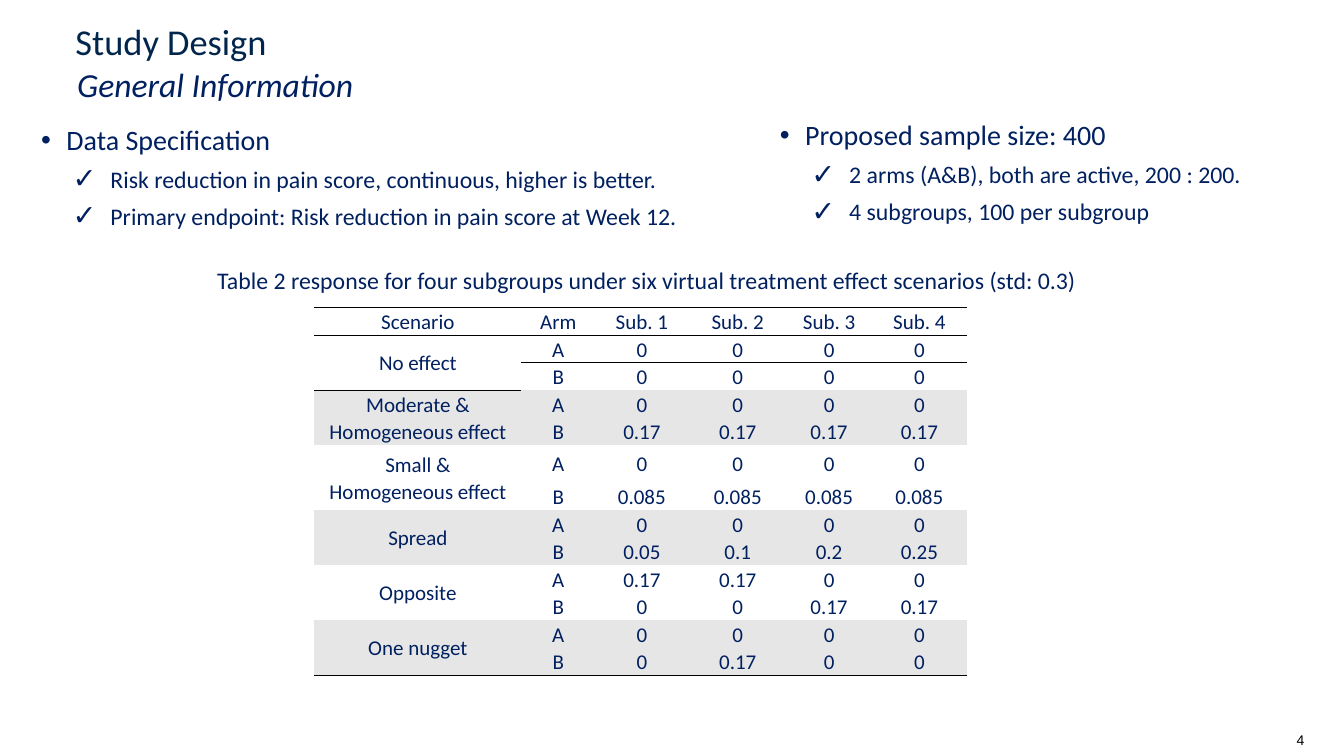
from lxml import etree
from pptx import Presentation
from pptx.dml.color import RGBColor
from pptx.enum.text import MSO_ANCHOR, PP_ALIGN
from pptx.oxml.ns import qn
from pptx.util import Pt

LEFT, CENTER = PP_ALIGN.LEFT, PP_ALIGN.CENTER
TOP, MIDDLE, BOTTOM = MSO_ANCHOR.TOP, MSO_ANCHOR.MIDDLE, MSO_ANCHOR.BOTTOM
NAVY, INK, BLACK, GRAY = "002060", "00264C", "000000", "E7E6E6"
PLAIN = "{2D5ABB26-0587-4C30-8999-92F81FD0307C}"


def paint(code):
    return RGBColor.from_string(code)


def put(frame, text, size=17, color=NAVY, font="Calibri", italic=False,
        align=LEFT, gap=0, line=1.0):
    para = frame.paragraphs[0]
    if para.runs:
        para = frame.add_paragraph()
    para.alignment = align
    para.line_spacing = line
    para.space_before = para.space_after = Pt(gap)
    run = para.add_run()
    run.text = text
    run.font.size, run.font.name, run.font.italic = Pt(size), font, italic
    run.font.color.rgb = paint(color)
    return para


deck = Presentation()
deck.slide_width, deck.slide_height = Pt(960), Pt(540)
slide = deck.slides.add_slide(deck.slide_layouts[6])

# Headings, caption and page number
labels = [
    ("Study Design", (46.8, 15, 415, 29), MIDDLE, dict(size=26, color=INK)),
    ("General Information", (48, 45.4, 442, 29), MIDDLE,
     dict(size=24, italic=True)),
    ("Table 2 response for four subgroups under six virtual treatment effect "
     "scenarios (std: 0.3)", (112, 186, 700, 28), TOP,
     dict(align=CENTER, gap=3)),
    ("4", (902, 519, 54, 19.4), BOTTOM,
     dict(size=10, color=BLACK, font="Arial", align=CENTER)),
]
for text, place, anchor, style in labels:
    frame = slide.shapes.add_textbox(*map(Pt, place)).text_frame
    frame.word_wrap, frame.vertical_anchor = True, anchor
    put(frame, text, **style)

# Bullet lists: a head line with ticked points
lists = [
    (22.3, 495, TOP, [
        "Data Specification",
        "Risk reduction in pain score, continuous, higher is better.",
        "Primary endpoint: Risk reduction in pain score at Week 12."]),
    (550, 351, MIDDLE, [
        "Proposed sample size: 400",
        "2 arms (A&B), both are active, 200 : 200.",
        "4 subgroups, 100 per subgroup"]),
]
for left, width, anchor, lines in lists:
    box = slide.shapes.add_textbox(Pt(left), Pt(84.2), Pt(width), Pt(77))
    frame = box.text_frame
    frame.word_wrap, frame.vertical_anchor = True, anchor
    for i, text in enumerate(lines):
        size, mark, scale, margin, hang, level = (
            (17, "✓", 120, 49.5, 27, 1) if i else (20, "•", 100, 18, 18, 0))
        para = put(frame, text, size=size, gap=3)
        para.level = level
        props = para._p.get_or_add_pPr()
        props.set("marL", str(Pt(margin)))
        props.set("indent", str(-Pt(hang)))
        tint = etree.SubElement(props, qn("a:buClr"))
        etree.SubElement(tint, qn("a:srgbClr"), val=NAVY)
        etree.SubElement(props, qn("a:buSzPct"), val=str(scale * 1000))
        etree.SubElement(props, qn("a:buFont"), typeface="Arial")
        etree.SubElement(props, qn("a:buChar"), char=mark)

# Table data: each scenario has one row per arm
heads = ["Scenario", "Arm", "Sub. 1", "Sub. 2", "Sub. 3", "Sub. 4"]
cases = [
    ("No effect", "0 0 0 0", "0 0 0 0"),
    ("Moderate & Homogeneous effect", "0 0 0 0", "0.17 0.17 0.17 0.17"),
    ("Small & Homogeneous effect", "0 0 0 0", "0.085 0.085 0.085 0.085"),
    ("Spread", "0 0 0 0", "0.05 0.1 0.2 0.25"),
    ("Opposite", "0.17 0.17 0 0", "0 0 0.17 0.17"),
    ("One nugget", "0 0 0 0", "0 0.17 0 0"),
]
rows = [heads]
for name, first, second in cases:
    rows.append([name, "A", *first.split()])
    rows.append(["", "B", *second.split()])
last = len(rows) - 1
widths = [148, 52.5, 67, 70, 60.5, 68.5]
highs = [20] + [19.7] * last
highs[5:7] = [26, 20.3]

# Table grid
table = slide.shapes.add_table(
    len(rows), len(heads), Pt(224.5), Pt(219.5),
    Pt(sum(widths)), Pt(sum(highs))).table
table.first_row = table.horz_banding = False
table._tbl.tblPr.find(qn("a:tableStyleId")).text = PLAIN
for column, width in zip(table.columns, widths):
    column.width = Pt(width)
for row, high in zip(table.rows, highs):
    row.height = Pt(high)
for r in range(1, last, 2):
    table.cell(r, 0).merge(table.cell(r + 1, 0))

# Table cells: rules around the head and at the foot, every second case shaded
for r, row in enumerate(rows):
    for c, text in enumerate(row):
        cell = table.cell(r, c)
        cell.margin_left = cell.margin_right = Pt(5)
        cell.margin_top = cell.margin_bottom = 0
        cell.vertical_anchor = MIDDLE
        put(cell.text_frame, text, size=15, align=CENTER, line=1.07)
        foot = r == last or (c == 0 and r == last - 1)
        for tag, shown in (("a:lnT", r < 2), ("a:lnB", r == 0 or foot)):
            if shown:
                edge = etree.SubElement(cell._tc.get_or_add_tcPr(), qn(tag),
                                        w=str(Pt(1)))
                fill = etree.SubElement(edge, qn("a:solidFill"))
                etree.SubElement(fill, qn("a:srgbClr"), val=BLACK)
        if r and (r - 1) // 2 % 2:
            cell.fill.solid()
            cell.fill.fore_color.rgb = paint(GRAY)
        else:
            cell.fill.background()

deck.save("out.pptx")
